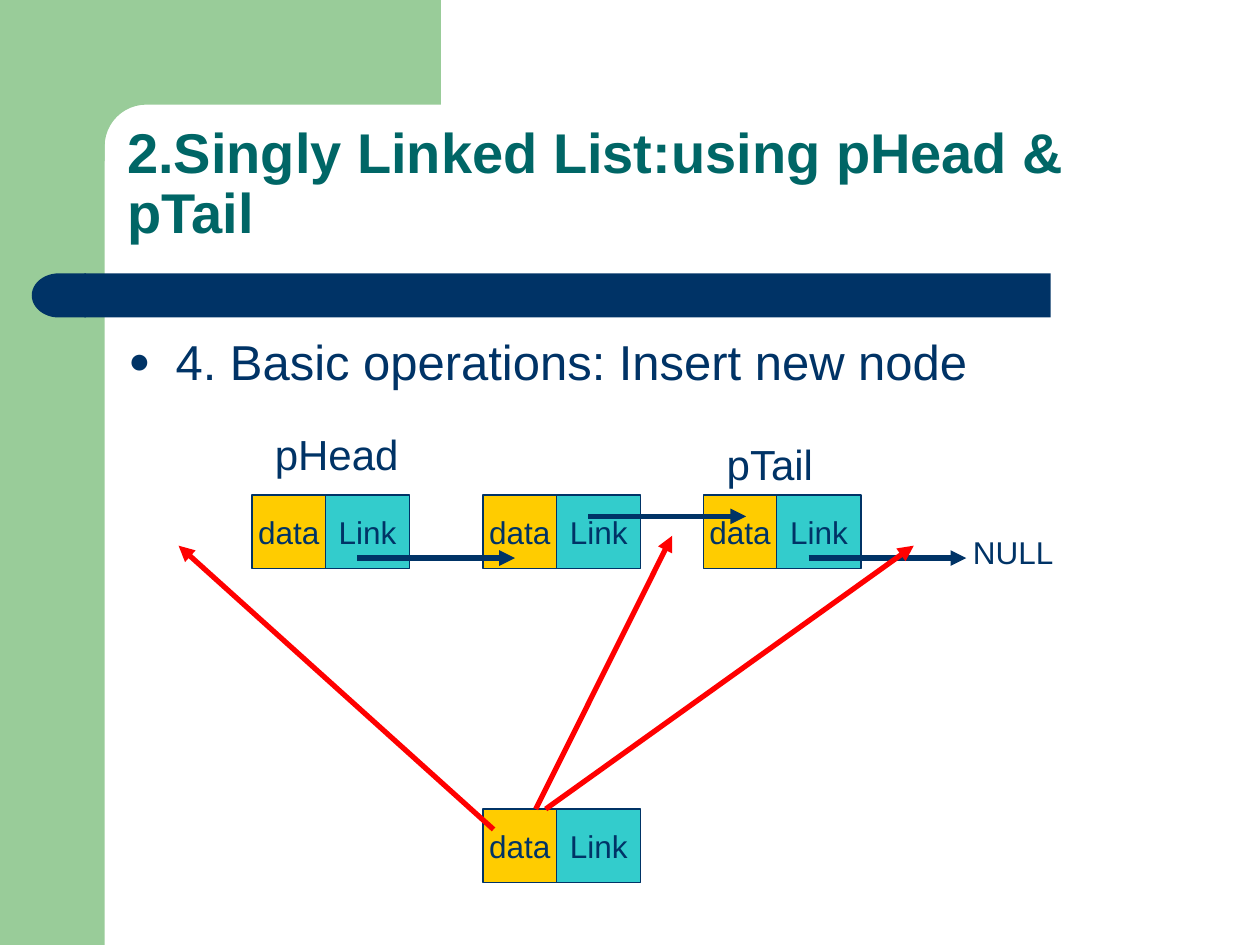
from dataclasses import dataclass
from math import cos, pi, sin

from lxml import etree
from pptx import Presentation
from pptx.dml.color import RGBColor
from pptx.enum.shapes import MSO_CONNECTOR, MSO_SHAPE
from pptx.enum.text import MSO_ANCHOR, MSO_AUTO_SIZE, PP_ALIGN
from pptx.oxml.ns import qn
from pptx.util import Cm, Pt


@dataclass(frozen=True)
class Theme:
    font: str = "Arial"
    title: str = "006666"
    ink: str = "003366"
    band: str = "99CC99"
    data: str = "FFCC00"
    link: str = "33CCCC"
    insert: str = "FF0000"
    title_size: int = 32
    body_size: int = 28
    label_size: int = 24
    node_size: int = 18
    outline: float = 0.75
    arrow: float = 3


T = Theme()

TITLE = "2.Singly Linked List:using pHead & pTail"
BULLET = "4. Basic operations: Insert new node"

ROW_Y = 9.98
NEW_Y = 16.31
LIST_X = [5.08, 9.74, 14.18]
NODES = [(x, ROW_Y) for x in LIST_X] + [(LIST_X[1], NEW_Y)]
FIELDS = [("data", 1.48, T.data), ("Link", 1.7, T.link)]
NODE_H = 1.48

LINK_DROPS = [1.27, 0.43, 1.27]
LINK_START, LINK_LENGTH = 2.12, 3.18

INSERTS = [
    ((9.95, 16.72), (3.6, 11.0)),
    ((11.0, NEW_Y), (18.42, 11.0)),
    ((10.8, NEW_Y), (13.55, 10.8)),
]

LABELS = [
    ("NULL", (19.26, 10.62, 2.33, 1.02), T.node_size, PP_ALIGN.CENTER),
    ("pHead", (5.29, 8.51, 3.6, 1.27), T.label_size, PP_ALIGN.LEFT),
    ("pTail", (14.4, 8.71, 3.6, 1.27), T.label_size, PP_ALIGN.LEFT),
]

BAND_W = 2.11
CORNER_R = 0.84
BAR_Y, BAR_H = 5.51, 0.89


def rgb(value):
    return RGBColor.from_string(value)


def cm(values):
    return [Cm(v) for v in values]


def add_run(p, text, size, color=T.ink, bold=False):
    r = p.add_run()
    r.text = text
    r.font.name = T.font
    r.font.size = Pt(size)
    r.font.bold = bold
    r.font.color.rgb = rgb(color)


def paint(sp, fill, line=None):
    sp.shadow.inherit = False
    sp.fill.solid()
    sp.fill.fore_color.rgb = rgb(fill)
    if line:
        sp.line.color.rgb = rgb(line)
        sp.line.width = Pt(T.outline)
    else:
        sp.line.fill.background()


def add_block(s, kind, box, fill, line=None):
    sp = s.shapes.add_shape(kind, *cm(box))
    paint(sp, fill, line)
    return sp


def add_text(s, text, box, size, align=PP_ALIGN.LEFT):
    tf = s.shapes.add_textbox(*cm(box)).text_frame
    tf.word_wrap = True
    p = tf.paragraphs[0]
    p.alignment = align
    add_run(p, text, size)
    return p


def add_arrow(s, start, end, color):
    c = s.shapes.add_connector(MSO_CONNECTOR.STRAIGHT, *cm(start + end))
    c.line.color.rgb = rgb(color)
    c.line.width = Pt(T.arrow)
    etree.SubElement(c.line._get_or_add_ln(), qn("a:tailEnd"), type="triangle")
    etree.SubElement(c._element.spPr, qn("a:effectLst"))


def add_frame(s):
    add_block(s, MSO_SHAPE.RECTANGLE, (0, 0, BAND_W, 19.05), T.band)
    center = BAND_W + CORNER_R
    angles = [i * pi / 24 for i in range(13)]
    arc = [(center - CORNER_R * sin(a), center - CORNER_R * cos(a)) for a in angles]
    points = [(1.27, 0), (8.89, 0), (8.89, BAND_W), *arc, (BAND_W, 3.25), (1.27, 3.25)]
    corner = [tuple(cm(point)) for point in points]
    builder = s.shapes.build_freeform(*corner[0])
    builder.add_line_segments(corner[1:], close=True)
    paint(builder.convert_to_shape(), T.band)
    add_block(s, MSO_SHAPE.RECTANGLE, (1.7, BAR_Y, 19.48, BAR_H), T.ink)
    cap = add_block(s, MSO_SHAPE.FLOWCHART_DELAY, (0.64, BAR_Y, 1.09, BAR_H), T.ink)
    cap.rotation = 180


def add_title(s):
    title = s.shapes.title
    title.left, title.top, title.width, title.height = cm((2.31, 2.31, 21.62, 2.77))
    tf = title.text_frame
    tf.word_wrap = True
    tf.auto_size = MSO_AUTO_SIZE.NONE
    tf.vertical_anchor = MSO_ANCHOR.BOTTOM
    p = tf.paragraphs[0]
    p.alignment = PP_ALIGN.LEFT
    p.line_spacing = 0.9
    add_run(p, TITLE, T.title_size, T.title, bold=True)


def add_bullet(s):
    p = add_text(s, BULLET, (2.34, 6.55, 21.36, 10.34), T.body_size)
    pPr = p._p.get_or_add_pPr()
    pPr.set("marL", str(Cm(0.95)))
    pPr.set("indent", str(-Cm(0.95)))
    color = etree.SubElement(pPr, qn("a:buClr"))
    etree.SubElement(color, qn("a:srgbClr"), val=T.ink)
    etree.SubElement(pPr, qn("a:buSzPct"), val="75000")
    etree.SubElement(pPr, qn("a:buFont"), typeface=T.font)
    etree.SubElement(pPr, qn("a:buChar"), char="●")


def add_node(s, x, y):
    for text, width, fill in FIELDS:
        sp = add_block(s, MSO_SHAPE.RECTANGLE, (x, y, width, NODE_H), fill, T.ink)
        tf = sp.text_frame
        tf.word_wrap = False
        tf.vertical_anchor = MSO_ANCHOR.MIDDLE
        p = tf.paragraphs[0]
        p.alignment = PP_ALIGN.CENTER
        add_run(p, text, T.node_size)
        x += width


def main():
    prs = Presentation()
    prs.slide_width, prs.slide_height = Cm(25.4), Cm(19.05)
    s = prs.slides.add_slide(prs.slide_layouts[5])
    add_frame(s)
    add_title(s)
    add_bullet(s)
    for x, y in NODES:
        add_node(s, x, y)
    for x, drop in zip(LIST_X, LINK_DROPS):
        start, y = x + LINK_START, ROW_Y + drop
        add_arrow(s, (start, y), (start + LINK_LENGTH, y), T.ink)
    for label in LABELS:
        add_text(s, *label)
    for start, end in INSERTS:
        add_arrow(s, start, end, T.insert)
    prs.save("out.pptx")


if __name__ == "__main__":
    main()
